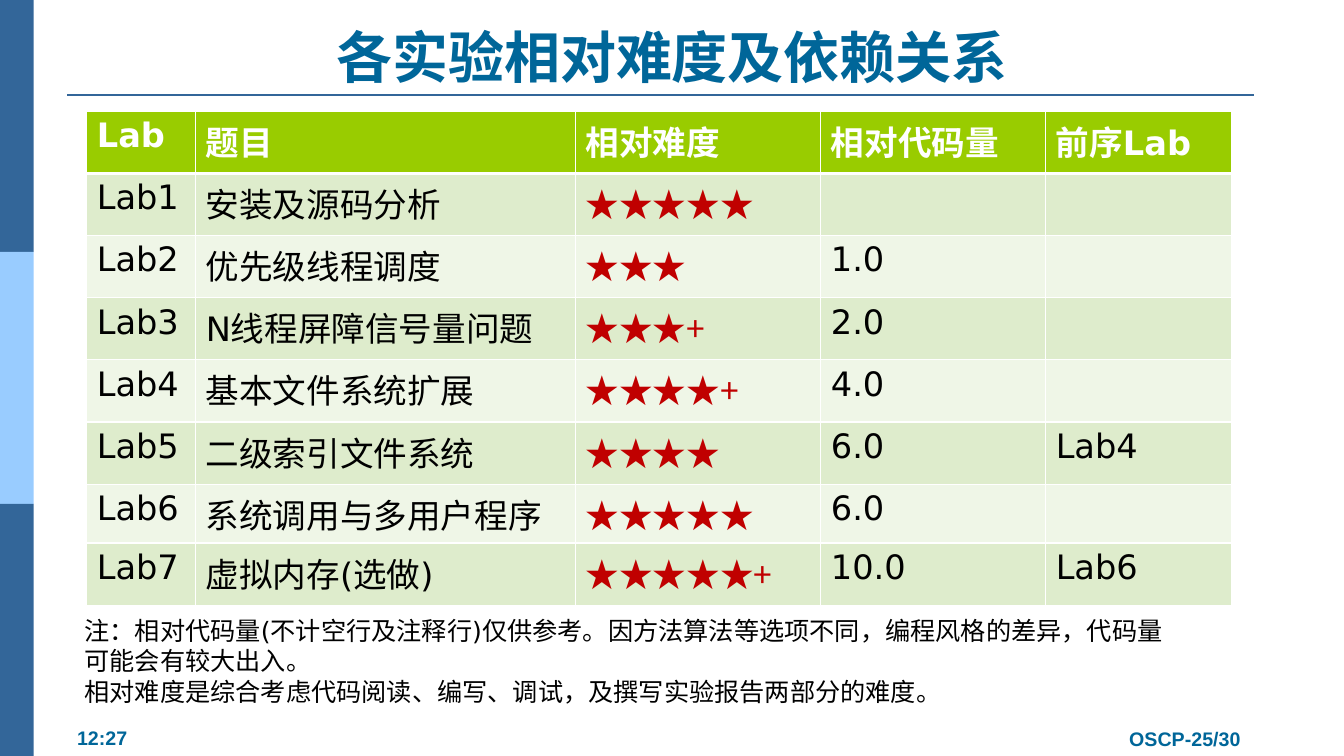
from lxml.etree import SubElement
from pptx import Presentation
from pptx.dml.color import RGBColor
from pptx.enum.shapes import MSO_CONNECTOR, MSO_SHAPE
from pptx.enum.text import MSO_ANCHOR, PP_ALIGN
from pptx.oxml.ns import qn
from pptx.util import Pt

COLORS = {
    "rail": "336699", "rail_light": "99CCFF", "heading": "006699",
    "header": "99CC00", "band_dark": "DEECCC", "band_light": "EFF6E7",
    "white": "FFFFFF", "text": "000000", "stars": "C00000",
}
CJK = "Noto Sans CJK SC"
LATIN = "DejaVu Sans"


class SlideBuilder:
    def __init__(self, slide):
        self.slide = slide

    def color(self, key):
        return RGBColor.from_string(COLORS[key])

    def style(self, frame, size, color="text", font=LATIN, bold=False, align=PP_ALIGN.LEFT):
        for paragraph in frame.paragraphs:
            paragraph.alignment = align
            for run in paragraph.runs:
                run.font.size = Pt(size)
                run.font.name = font
                run.font.bold = bold
                run.font.color.rgb = self.color(color)
                SubElement(run.font._element, qn("a:ea"), typeface=CJK)

    def title(self, text, left, top, width, height):
        title = self.slide.shapes.title
        title.left, title.top, title.width, title.height = map(Pt, (left, top, width, height))
        frame = title.text_frame
        frame.text = text
        frame.vertical_anchor = MSO_ANCHOR.BOTTOM
        frame.margin_bottom = Pt(0)
        self.style(frame, 40, "heading", CJK, True, PP_ALIGN.CENTER)

    def block(self, left, top, width, height, color):
        block = self.slide.shapes.add_shape(
            MSO_SHAPE.RECTANGLE, Pt(left), Pt(top), Pt(width), Pt(height))
        block.shadow.inherit = False
        block.fill.solid()
        block.fill.fore_color.rgb = self.color(color)
        block.line.fill.background()

    def rule(self, left, right, y):
        rule = self.slide.shapes.add_connector(
            MSO_CONNECTOR.STRAIGHT, Pt(left), Pt(y), Pt(right), Pt(y))
        rule.line.color.rgb = self.color("rail")
        rule.line.width = Pt(1.5)
        SubElement(rule._element.spPr, qn("a:effectLst"))

    def text(self, text, left, top, width, height, wrap=True, spacing=None, **style):
        box = self.slide.shapes.add_textbox(Pt(left), Pt(top), Pt(width), Pt(height))
        frame = box.text_frame
        frame.word_wrap = wrap
        frame.text = text
        self.style(frame, **style)
        if spacing:
            for paragraph in frame.paragraphs:
                paragraph.line_spacing = Pt(spacing)

    def border(self, cell, side, width):
        line = SubElement(cell._tc.get_or_add_tcPr(), qn(f"a:{side}"), w=str(Pt(width)))
        fill = SubElement(line, qn("a:solidFill"))
        SubElement(fill, qn("a:srgbClr"), val=COLORS["white"])

    def cell(self, cell, text, fill, border_top, border_bottom, **style):
        cell.text = text
        self.style(cell.text_frame, 24, **style)
        for side, width in (("lnL", 1), ("lnR", 1), ("lnT", border_top), ("lnB", border_bottom)):
            self.border(cell, side, width)
        cell.fill.solid()
        cell.fill.fore_color.rgb = self.color(fill)

    def table(self, rows, left, top, widths, heights, star_column):
        table = self.slide.shapes.add_table(
            len(rows), len(widths), Pt(left), Pt(top), Pt(sum(widths)), Pt(sum(heights))).table
        for column, width in zip(table.columns, widths):
            column.width = Pt(width)
        for row, height in zip(table.rows, heights):
            row.height = Pt(height)
        for r, row in enumerate(rows):
            for c, text in enumerate(row):
                cell = table.cell(r, c)
                if r == 0:
                    self.cell(cell, text, "header", 1, 3, color="white", bold=True)
                    continue
                stars = c == star_column
                self.cell(cell, text, "band_dark" if r % 2 else "band_light",
                          3 if r == 1 else 1, 1,
                          color="stars" if stars else "text", font=CJK if stars else LATIN)


presentation = Presentation()
presentation.slide_width = Pt(960)
presentation.slide_height = Pt(540)
builder = SlideBuilder(presentation.slides.add_slide(presentation.slide_layouts[5]))

for index, rail_color in enumerate(("rail", "rail_light", "rail")):
    builder.block(0, index * 180, 24, 180, rail_color)
builder.rule(48, 896, 67.7)
builder.title("各实验相对难度及依赖关系", 48, 18.7, 864, 45.4)

labs = [
    ("安装及源码分析", 5, "", "", ""),
    ("优先级线程调度", 3, "", "1.0", ""),
    ("N线程屏障信号量问题", 3, "+", "2.0", ""),
    ("基本文件系统扩展", 4, "+", "4.0", ""),
    ("二级索引文件系统", 4, "", "6.0", "Lab4"),
    ("系统调用与多用户程序", 5, "", "6.0", ""),
    ("虚拟内存(选做)", 5, "+", "10.0", "Lab6"),
]
rows = [("Lab", "题目", "相对难度", "相对代码量", "前序Lab")]
for number, (topic, stars, plus, code, previous) in enumerate(labs, 1):
    rows.append((f"Lab{number}", topic, "★" * stars + plus, code, previous))
builder.table(rows, 62, 79.5, (77.8, 271.4, 175.2, 160.6, 133),
              [44.4] * 6 + [39, 44.4], star_column=2)

builder.text(
    "注：相对代码量(不计空行及注释行)仅供参考。因方法算法等选项不同，编程风格的差异，代码量可能会有较大出入。\n"
    "相对难度是综合考虑代码阅读、编写、调试，及撰写实验报告两部分的难度。",
    53.2, 435.6, 798.5, 72.7, spacing=21.8, size=18)
footer = dict(wrap=False, size=14, color="heading", font="Arial", bold=True)
builder.text("12:27", 48, 515, 50.4, 24.5, **footer)
builder.text("OSCP-25/30", 798.5, 515.5, 95.8, 24.5, align=PP_ALIGN.CENTER, **footer)

presentation.save("out.pptx")
